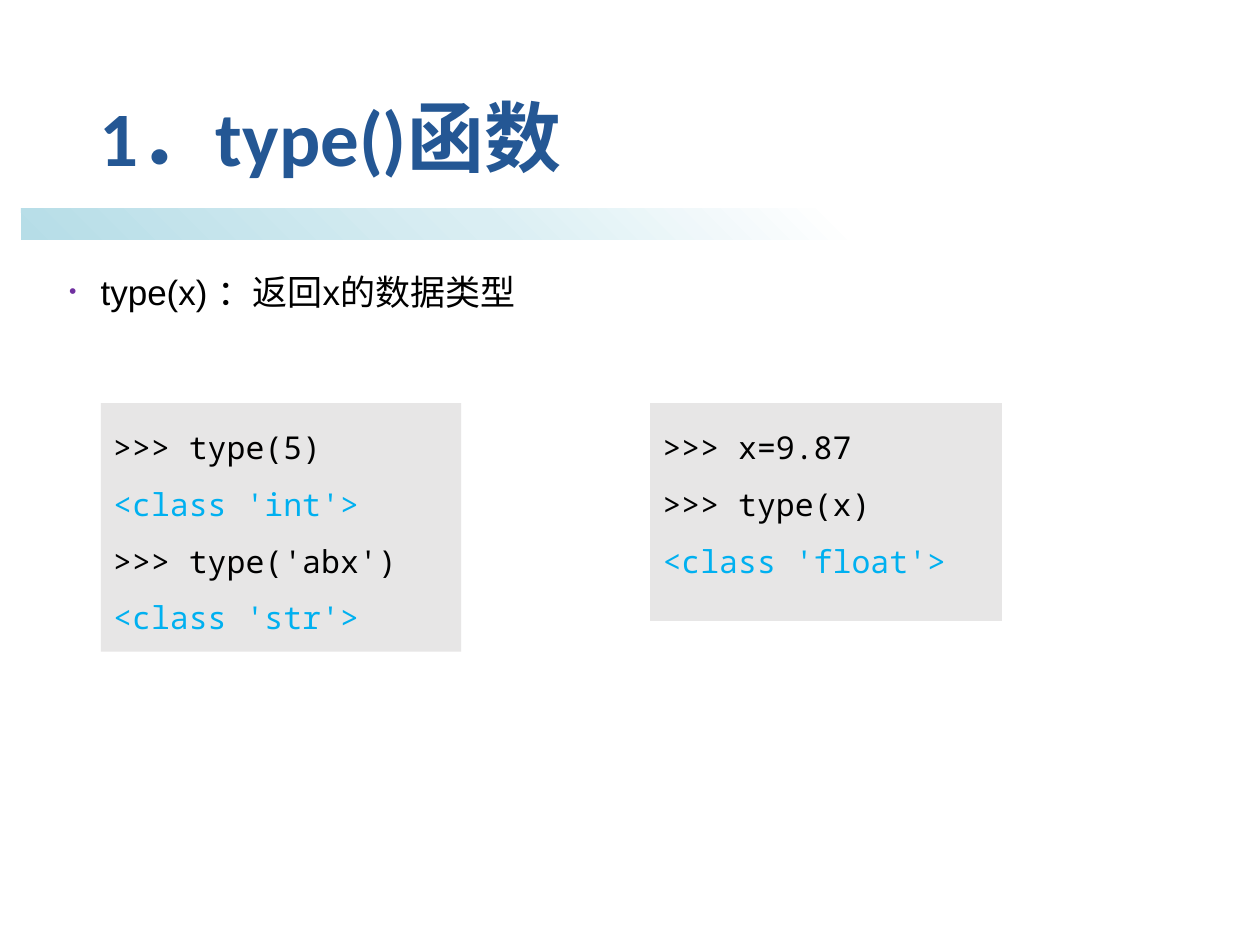
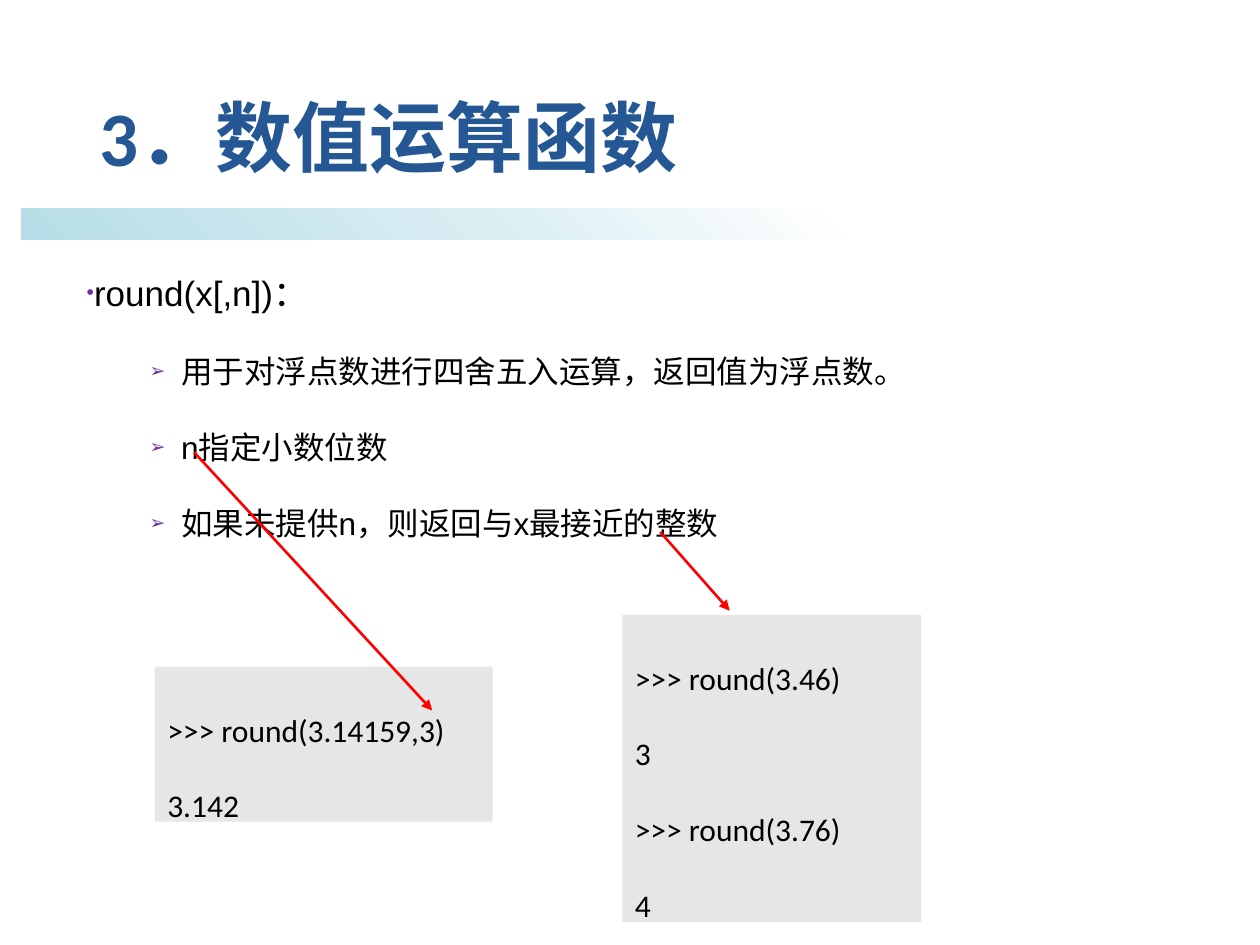
from lxml import etree
from pptx import Presentation
from pptx.dml.color import RGBColor
from pptx.enum.shapes import MSO_CONNECTOR, MSO_SHAPE
from pptx.enum.text import MSO_ANCHOR, PP_ALIGN
from pptx.oxml.ns import qn
from pptx.util import Pt

RECT = MSO_SHAPE.RECTANGLE
STRAIGHT = MSO_CONNECTOR.STRAIGHT
TOP, MIDDLE = MSO_ANCHOR.TOP, MSO_ANCHOR.MIDDLE
LEFT = PP_ALIGN.LEFT

TITLE_BLUE = RGBColor(0x24, 0x57, 0x94)
BULLET_PURPLE = RGBColor(0x70, 0x30, 0xA0)
CODE_GREY = RGBColor(0xE7, 0xE6, 0xE6)
OUTPUT_BLUE = RGBColor(0x00, 0xB0, 0xF0)
ARROW_RED = RGBColor(0xFF, 0x00, 0x00)
BLACK = RGBColor(0x00, 0x00, 0x00)
BAND_STOPS = [(0, "B6DDE7"), (40, "DAEEF3"), (70, "FFFFFF"), (100, "FFFFFF")]
BAND_ANGLE = 45

TITLE_FONT = {"name": "Calibri", "size": Pt(44), "bold": True}
BODY_FONT = {"name": "Arial", "size": Pt(20)}
SUB_FONT = {"name": "Arial", "size": Pt(18)}
MONO_FONT = {"name": "Noto Sans Mono", "size": Pt(18)}
CALIBRI_FONT = {"name": "Calibri", "size": Pt(18)}


def add_element(parent, tag, **attrs):
    """Append a DrawingML element and return it."""
    el = etree.SubElement(parent, qn(tag))
    for name, value in attrs.items():
        el.set(name, str(value))
    return el


def set_font(font, formats, color):
    """Apply a dict of font formats and a colour."""
    for name, value in formats.items():
        setattr(font, name, value)
    font.color.rgb = color


def add_paragraph(tf, index):
    """Return the first paragraph of a frame, or a new one after it."""
    return tf.add_paragraph() if index else tf.paragraphs[0]


def add_text_box(s, box, anchor=TOP):
    """Add a wrapping text box and return its text frame."""
    tf = s.shapes.add_textbox(*map(Pt, box)).text_frame
    tf.word_wrap = True
    tf.vertical_anchor = anchor
    return tf


def add_rect(s, box):
    """Add a rectangle without line or shadow."""
    sp = s.shapes.add_shape(RECT, *map(Pt, box))
    sp.shadow.inherit = False
    sp.line.fill.background()
    return sp


def add_band(s):
    """Add the fading band under the title."""
    sp = add_rect(s, (12, 119, 672, 18))
    sp.fill.gradient()
    sp.fill.gradient_angle = BAND_ANGLE
    stops = sp.fill._fill._gradFill.find(qn("a:gsLst"))
    for stop in list(stops):
        stops.remove(stop)
    for position, color in BAND_STOPS:
        stop = add_element(stops, "a:gs", pos=position * 1000)
        add_element(stop, "a:srgbClr", val=color)


def add_title(s, text):
    """Add the slide title."""
    p = add_text_box(s, (50, 29, 620, 104), MIDDLE).paragraphs[0]
    p.line_spacing = 0.9
    r = p.add_run()
    r.text = text
    set_font(r.font, TITLE_FONT, TITLE_BLUE)


def add_bullet(p, char, margin, indent):
    """Give a paragraph a small purple bullet."""
    pPr = p._p.get_or_add_pPr()
    pPr.set("marL", str(Pt(margin)))
    pPr.set("indent", str(Pt(indent)))
    color = add_element(pPr, "a:buClr")
    add_element(color, "a:srgbClr", val=BULLET_PURPLE)
    add_element(pPr, "a:buSzPct", val=60000)
    add_element(pPr, "a:buFont", typeface="Arial")
    add_element(pPr, "a:buChar", char=char)


def add_body(s, box, heading, points=(), margin=0, spacing=1.0):
    """Add a bulleted heading with indented points below it."""
    tf = add_text_box(s, box)
    for i, text in enumerate([heading, *points]):
        p = add_paragraph(tf, i)
        if i:
            add_bullet(p, "➢", 54, -18)
            p.level = 1
        else:
            add_bullet(p, "•", margin, -margin)
        p.space_before = Pt(5 if i else 0)
        p.space_after = Pt(6)
        p.line_spacing = spacing
        r = p.add_run()
        r.text = text
        set_font(r.font, SUB_FONT if i else BODY_FONT, BLACK)


def add_code(s, box, lines, formats, spacing):
    """Add a grey code box, with class output in blue."""
    sp = add_rect(s, box)
    sp.fill.solid()
    sp.fill.fore_color.rgb = CODE_GREY
    tf = sp.text_frame
    tf.word_wrap = True
    tf.vertical_anchor = TOP
    for i, line in enumerate(lines):
        p = add_paragraph(tf, i)
        p.alignment = LEFT
        p.line_spacing = spacing
        r = p.add_run()
        r.text = line
        set_font(r.font, formats, OUTPUT_BLUE if line.startswith("<") else BLACK)


def add_arrow(s, start, end):
    """Add a red arrow between two points."""
    cx = s.shapes.add_connector(STRAIGHT, *map(Pt, start + end))
    cx.line.color.rgb = ARROW_RED
    cx.line.width = Pt(1.5)
    add_element(cx.line._get_or_add_ln(), "a:tailEnd", type="triangle")
    add_element(cx._element.spPr, "a:effectLst")


def add_slide(prs, title):
    """Add a blank slide with the shared band and title."""
    s = prs.slides.add_slide(prs.slide_layouts[6])
    add_band(s)
    add_title(s, title)
    return s


def add_type_slide(prs):
    """Add the slide on type()."""
    s = add_slide(prs, "1．type()函数")
    add_body(s, (32.4, 151, 329, 38), "type(x) ：返回x的数据类型", margin=18)
    add_code(s, (57.6, 230.4, 206, 142),
             [">>> type(5)", "<class 'int'>", ">>> type('abx')", "<class 'str'>"],
             MONO_FONT, 1.5)
    add_code(s, (371.5, 230.4, 201, 124.5),
             [">>> x=9.87", ">>> type(x)", "<class 'float'>"], MONO_FONT, 1.5)


def add_round_slide(prs):
    """Add the slide on round()."""
    s = add_slide(prs, "3．数值运算函数")
    add_body(s, (42.5, 139.7, 620, 183), "round(x[,n])：",
             ["用于对浮点数进行四舍五入运算，返回值为浮点数。",
              "n指定小数位数",
              "如果未提供n，则返回与x最接近的整数"], spacing=1.5)
    add_code(s, (88.5, 381, 193, 88.5), [">>> round(3.14159,3)", "3.142"],
             CALIBRI_FONT, 2.0)
    add_code(s, (355.7, 351.3, 170.6, 175.5),
             [">>> round(3.46)", "3", ">>> round(3.76)", "4"], CALIBRI_FONT, 2.0)
    add_arrow(s, (377.3, 304), (417, 349))
    add_arrow(s, (111, 258.5), (247, 406))


def main():
    """Build and save the presentation."""
    prs = Presentation()
    prs.slide_width, prs.slide_height = Pt(720), Pt(540)
    add_type_slide(prs)
    add_round_slide(prs)
    prs.save("out.pptx")


if __name__ == "__main__":
    main()
